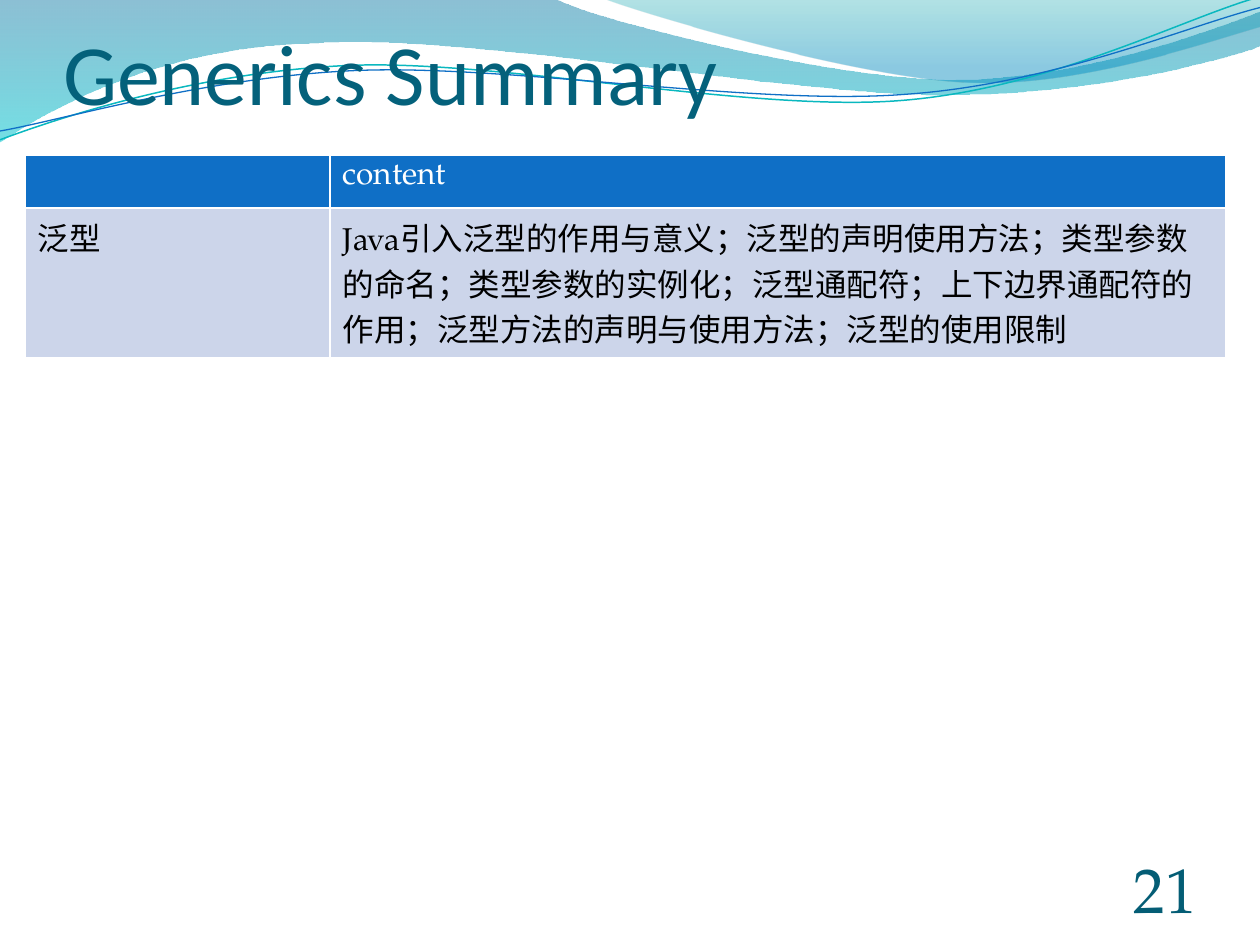
"""Build the generics summary slide with its wave header and table."""
from lxml import etree
from pptx import Presentation
from pptx.dml.color import RGBColor
from pptx.enum import text
from pptx.oxml import ns
from pptx.util import Inches, Pt

TEAL = RGBColor(0x04, 0x61, 0x7B)
DEEP = RGBColor(0x04, 0x5D, 0x75)
BLUE = RGBColor(0x0F, 0x6F, 0xC6)
AQUA = RGBColor(0x0A, 0xB8, 0xBF)
PALE = RGBColor(0xCC, 0xD5, 0xEA)
WHITE = RGBColor(0xFF, 0xFF, 0xFF)
BLACK = RGBColor(0, 0, 0)
SERIF = "TeX Gyre Pagella"

LOW = [(0, 0), (4.4, -0.01),
       (4.76, 0.17, 6.64, 0.63, 7.58, 0.63), (8.53, 0.63, 9.58, 0.26, 10, 0.09),
       (10.01, 0.36), (9.83, 0.44, 8.7, 0.76, 7.46, 0.75),
       (6.22, 0.75, 3.82, 0.28, 2.57, 0.34), (1.29, 0.36, 0.46, 0.83, -0.01, 1.13),
       (0, 0)]
HIGH = [(4.79, -0.01), (5.09, 0.11, 6.82, 0.62, 7.69, 0.65),
        (8.56, 0.69, 9.61, 0.32, 10, 0.21), (10, 0), (4.79, -0.01)]
THICK = [(0, 1.11), (0.48, 0.93, 1.58, 0.57, 2.77, 0.52),
         (3.95, 0.47, 5.93, 0.89, 7.13, 0.8), (8.33, 0.71, 9.38, 0.15, 9.98, -0.02)]
THIN = [(0, 1.04), (0.47, 0.96, 1.64, 0.61, 2.83, 0.56),
        (4.03, 0.51, 5.97, 0.84, 7.17, 0.75), (8.36, 0.67, 9.41, 0.21, 10, 0.06)]

BANDS = [
    (LOW, [(0, RGBColor(0x00, 0x74, 0xA1), 45), (1, RGBColor(0x00, 0xC6, 0xCF), 55)]),
    (HIGH, [(0, RGBColor(0x00, 0xA1, 0xA9), 30), (0.8, RGBColor(0x00, 0x8B, 0xBF), 45)]),
]
LINES = [(THICK, AQUA, 0.85), (THIN, BLUE, 0.75)]
ROWS = [
    ("", "content"),
    ("泛型", "Java引入泛型的作用与意义；泛型的声明使用方法；类型参数的命名；类型参数的实例化；"
     "泛型通配符；上下边界通配符的作用；泛型方法的声明与使用方法；泛型的使用限制"),
]


def draw(route, close):
    """Draw a path of straight and cubic parts as a freeform."""
    ends = [(Inches(part[-2]), Inches(part[-1])) for part in route]
    pen = slide.shapes.build_freeform(*ends[0], scale=1.0)
    pen.add_line_segments(ends[1:], close=close)
    wave = pen.convert_to_shape()
    wave.shadow.inherit = False
    legs = list(wave._element.iter(ns.qn("a:lnTo")))
    for leg, part in zip(legs, route[1:]):
        if len(part) == 6:
            curve = etree.Element(ns.qn("a:cubicBezTo"))
            for x, y in zip(part[::2], part[1::2]):
                etree.SubElement(curve, ns.qn("a:pt"), x=str(Inches(x) - wave.left),
                                 y=str(Inches(y) - wave.top))
            leg.getparent().replace(leg, curve)
    return wave


def style(para, name, size, color):
    """Set the font of a paragraph."""
    para.font.name = name
    para.font.size = Pt(size)
    para.font.color.rgb = color


deck = Presentation()
deck.slide_width, deck.slide_height = Inches(10), Inches(7.5)
slide = deck.slides.add_slide(deck.slide_layouts[5])

for route, stops in BANDS:
    wave = draw(route, True)
    wave.line.fill.background()
    wave.fill.gradient()
    wave.fill.gradient_angle = 270
    for stop, (pos, color, alpha) in zip(wave.fill.gradient_stops, stops):
        stop.position = pos
        stop.color.rgb = color
    for node, (pos, color, alpha) in zip(wave._element.iter(ns.qn("a:srgbClr")), stops):
        etree.SubElement(node, ns.qn("a:alpha"), val=str(alpha * 1000))

for route, color, width in LINES:
    wave = draw(route, False)
    wave.fill.background()
    wave.line.color.rgb = color
    wave.line.width = Pt(width)

title = slide.shapes.title
title.left, title.top = Inches(0.5), Inches(0.15)
title.width, title.height = Inches(9), Inches(0.82)
title.text = "Generics Summary"
slide.shapes._spTree.append(title._element)

page = slide.shapes.add_textbox(Inches(8.67), Inches(6.95), Inches(0.83), Inches(0.4))
page.text_frame.text = "21"

for box, top in ((title, 0.05), (page, 0)):
    frame = box.text_frame
    frame.word_wrap = True
    frame.auto_size = text.MSO_AUTO_SIZE.NONE
    frame.vertical_anchor = text.MSO_ANCHOR.BOTTOM
    frame.margin_left = frame.margin_right = frame.margin_bottom = 0
    frame.margin_top = Inches(top)

head = title.text_frame.paragraphs[0]
head.alignment = text.PP_ALIGN.LEFT
style(head, "Calibri", 49, TEAL)
num = page.text_frame.paragraphs[0]
num.alignment = text.PP_ALIGN.RIGHT
style(num, SERIF, 36, DEEP)

table = slide.shapes.add_table(2, 2, Inches(0.2), Inches(1.23), Inches(9.53), Inches(1.42)).table
for col, width in zip(table.columns, (2.42, 7.11)):
    col.width = Inches(width)
for row in table.rows:
    row.height = Inches(0.42)

for r, words in enumerate(ROWS):
    for c, word in enumerate(words):
        cell = table.cell(r, c)
        cell.text = word
        cell.fill.solid()
        cell.fill.fore_color.rgb = PALE if r else BLUE
        para = cell.text_frame.paragraphs[0]
        para.font.bold = False
        style(para, SERIF, 18, BLACK if r else WHITE)
        props = cell._tc.get_or_add_tcPr()
        for i, side in enumerate(("lnL", "lnR", "lnT", "lnB")):
            edge = etree.Element(ns.qn("a:" + side), w=str(Pt(1)))
            paint = etree.SubElement(edge, ns.qn("a:solidFill"))
            etree.SubElement(paint, ns.qn("a:srgbClr"), val=str(WHITE))
            props.insert(i, edge)

deck.save("out.pptx")
